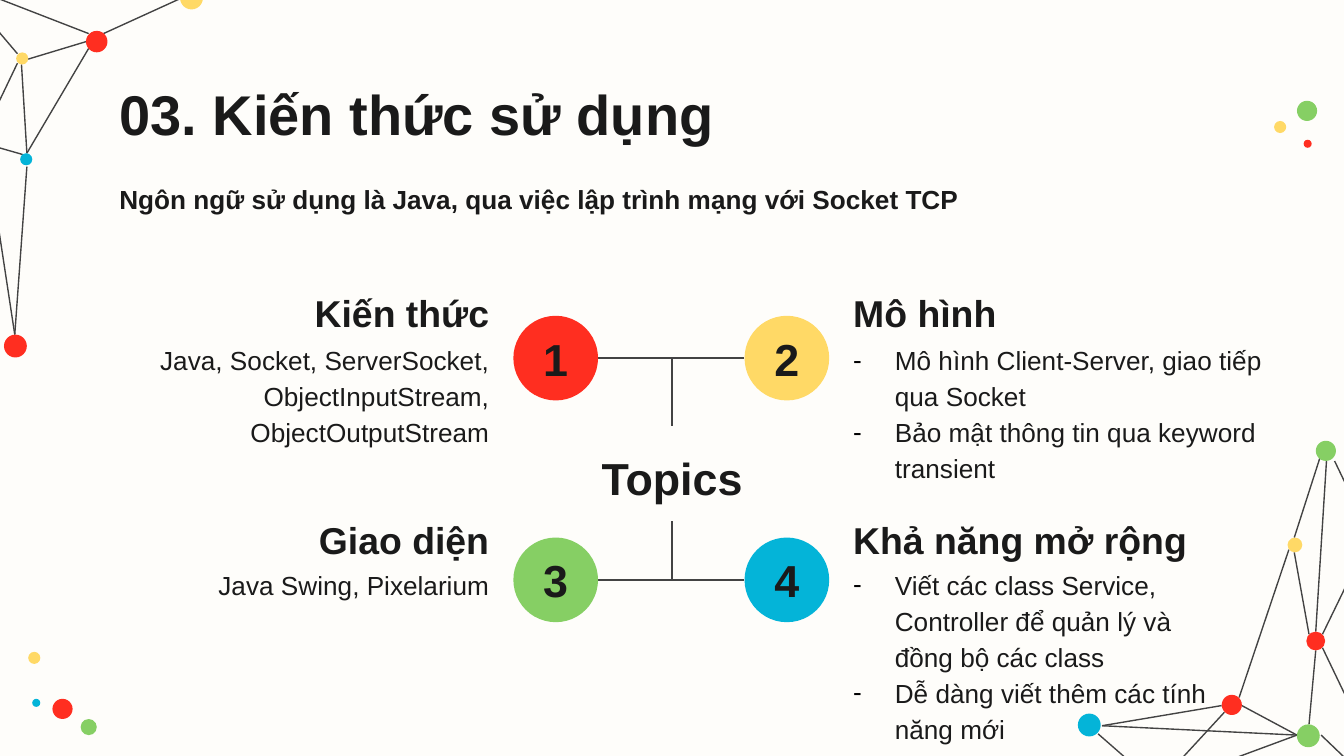
"""Build the "Kiến thức sử dụng" slide: four numbered topics around a hub."""
import lxml.etree
import pptx
import pptx.dml.color
import pptx.enum.shapes
import pptx.enum.text
import pptx.oxml.ns
import pptx.util

Inches = pptx.util.Inches
Align = pptx.enum.text.PP_ALIGN
Anchor = pptx.enum.text.MSO_ANCHOR
Connector = pptx.enum.shapes.MSO_CONNECTOR
OVAL = pptx.enum.shapes.MSO_SHAPE.OVAL
qn = pptx.oxml.ns.qn

INK, LINE, PAPER = "1A1A1A", "434343", "FEFDFA"
RED, YELLOW, GREEN, BLUE = "FF2E20", "FFD966", "86CF64", "04B4D8"


def color(target, value):
    """Give a fill, a line fill or a font the colour of a hex string."""
    if hasattr(target, "solid"):
        target.solid()
        target = target.fore_color
    else:
        target = target.color
    target.rgb = pptx.dml.color.RGBColor.from_string(value)


def write(shape, text, size=14, bold=False, align=Align.LEFT, anchor=Anchor.TOP, spacing=1.15, bullet=None):
    """Fill a shape with one paragraph per line of text."""
    frame = shape.text_frame
    frame.text = text
    frame.word_wrap = True
    frame.auto_size = pptx.enum.text.MSO_AUTO_SIZE.NONE
    frame.vertical_anchor = anchor
    frame.margin_left = frame.margin_right = frame.margin_top = frame.margin_bottom = Inches(0.1)
    for paragraph in frame.paragraphs:
        paragraph.alignment = align
        paragraph.line_spacing = spacing
        font = paragraph.runs[0].font
        font.name, font.size, font.bold = "Arial", pptx.util.Pt(size), bold
        color(font, INK)
        if bullet:
            properties = paragraph._p.get_or_add_pPr()
            properties.set("marL", str(Inches(0.31)))
            properties.set("indent", str(-Inches(0.31)))
            bullet_color = lxml.etree.SubElement(properties, qn("a:buClr"))
            lxml.etree.SubElement(bullet_color, qn("a:srgbClr"), val="000000")
            lxml.etree.SubElement(properties, qn("a:buSzPts"), val=str(size * 100))
            lxml.etree.SubElement(properties, qn("a:buFont"), typeface="Arial")
            lxml.etree.SubElement(properties, qn("a:buChar"), char=bullet)


deck = pptx.Presentation()
deck.slide_width, deck.slide_height = Inches(10), Inches(10 * 9 / 16)
slide = deck.slides.add_slide(deck.slide_layouts[5])
shapes = slide.shapes
color(slide.background.fill, PAPER)

network_links = [
    (0.21, 0.44, 0.64, 0.31), (0.77, 0.25, 1.34, -0.01), (0.2, 1.24, 0.11, 2.49),
    (-0.1, 1.11, 0.11, 2.49), (-0.04, 1.09, 0.17, 1.15), (-0.1, 0.95, 0.13, 0.47),
    (-0.32, -0.13, 0.13, 0.4), (0.66, 0.25, -0.32, -0.13), (0.2, 1.14, 0.16, 0.48),
    (0.2, 1.14, 0.66, 0.36),
    (9.82, 3.41, 9.63, 4), (9.63, 4.11, 9.74, 4.72), (9.87, 3.43, 9.79, 4.7),
    (9.74, 5.39, 9.79, 4.84), (9.24, 5.25, 9.65, 5.47), (8.65, 5.84, 9.65, 5.47),
    (8.17, 5.46, 8.57, 5.81), (8.2, 5.4, 9.09, 5.25), (8.64, 5.81, 9.11, 5.3),
    (9.22, 5.19, 9.59, 4.09), (9.93, 3.43, 10.18, 3.95), (9.84, 4.72, 10.18, 4.02),
    (9.84, 4.82, 10.32, 5.82), (9.83, 5.47, 10.29, 5.91), (8.2, 5.4, 9.65, 5.47),
]
links = [shapes.add_connector(Connector.STRAIGHT, *map(Inches, ends)) for ends in network_links]

network_dots = [
    (1.34, -0.1, 0.17, YELLOW), (0.03, 2.49, 0.17, RED), (0.64, 0.23, 0.16, RED),
    (0.15, 1.14, 0.09, BLUE), (0.12, 0.39, 0.09, YELLOW),
    (8.02, 5.31, 0.17, BLUE), (9.58, 4, 0.11, YELLOW), (9.65, 5.39, 0.17, GREEN),
    (9.09, 5.17, 0.15, RED), (9.72, 4.7, 0.14, RED), (9.79, 3.28, 0.15, GREEN),
    (0.21, 4.85, 0.09, YELLOW), (0.39, 5.2, 0.15, RED), (0.6, 5.35, 0.12, GREEN),
    (0.24, 5.2, 0.06, BLUE),
    (9.48, 0.9, 0.09, YELLOW), (9.65, 0.75, 0.15, GREEN), (9.7, 1.04, 0.06, RED),
]
for left, top, size, fill in network_dots:
    dot = shapes.add_shape(OVAL, Inches(left), Inches(top), Inches(size), Inches(size))
    dot.shadow.inherit = False
    dot.line.fill.background()
    color(dot.fill, fill)

title = shapes.title
title.left, title.top, title.width, title.height = map(Inches, (0.79, 0.49, 8.43, 0.63))
write(title, "03. Kiến thức sử dụng", size=30, bold=True, spacing=1.0)

subtitle = shapes.add_textbox(Inches(0.79), Inches(1.23), Inches(8.43), Inches(0.68))
write(subtitle, "Ngôn ngữ sử dụng là Java, qua việc lập trình mạng với Socket TCP", bold=True)

hub = shapes.add_textbox(Inches(3.84), Inches(3.17), Inches(2.32), Inches(0.71))
write(hub, "Topics", size=24, bold=True, align=Align.CENTER, anchor=Anchor.MIDDLE)

topics = [
    ("Kiến thức", "Java, Socket, ServerSocket, ObjectInputStream, ObjectOutputStream", RED, 2.96),
    ("Mô hình", "Mô hình Client-Server, giao tiếp qua Socket\nBảo mật thông tin qua keyword transient", YELLOW, 3.42),
    ("Giao diện", "Java Swing, Pixelarium", GREEN, 2.96),
    ("Khả năng mở rộng",
     "Viết các class Service, Controller để quản lý và đồng bộ các class\nDễ dàng viết thêm các tính năng mới", BLUE, 2.97),
]
diameter = 0.63
for index, (heading, details, fill, details_width) in enumerate(topics):
    row, on_right = divmod(index, 2)
    circle_left, circle_top = (3.82, 5.54)[on_right], (2.35, 4)[row]
    text_left, align, bullet = ((0.78, Align.RIGHT, None), (6.25, Align.LEFT, "-"))[on_right]

    inner_edge = circle_left if on_right else circle_left + diameter
    middle = Inches(circle_top + diameter / 2)
    branch = shapes.add_connector(Connector.ELBOW, Inches(inner_edge), middle, Inches(5), middle)
    branch.end_connect(hub, (0, 2)[row])
    branch._element.spPr.find(qn("a:prstGeom")).set("prst", "bentConnector2")
    links.append(branch)

    circle = shapes.add_shape(OVAL, Inches(circle_left), Inches(circle_top), Inches(diameter), Inches(diameter))
    circle.shadow.inherit = False
    circle.line.fill.background()
    color(circle.fill, fill)
    write(circle, str(index + 1), size=24, bold=True, align=Align.CENTER, anchor=Anchor.MIDDLE, spacing=1.0)

    heading_box = shapes.add_textbox(Inches(text_left), Inches((2.02, 3.71)[row]), Inches(2.96), Inches(0.57))
    write(heading_box, heading, size=20, bold=True, align=align, anchor=Anchor.BOTTOM)
    details_box = shapes.add_textbox(Inches(text_left), Inches((2.43, 4.1)[row]), Inches(details_width), Inches(0.93))
    write(details_box, details, align=align, bullet=bullet)

for link in links:
    link.line.width = pptx.util.Pt(0.75)
    color(link.line.fill, LINE)
    lxml.etree.SubElement(link._element.spPr, qn("a:effectLst"))

deck.save("out.pptx")
